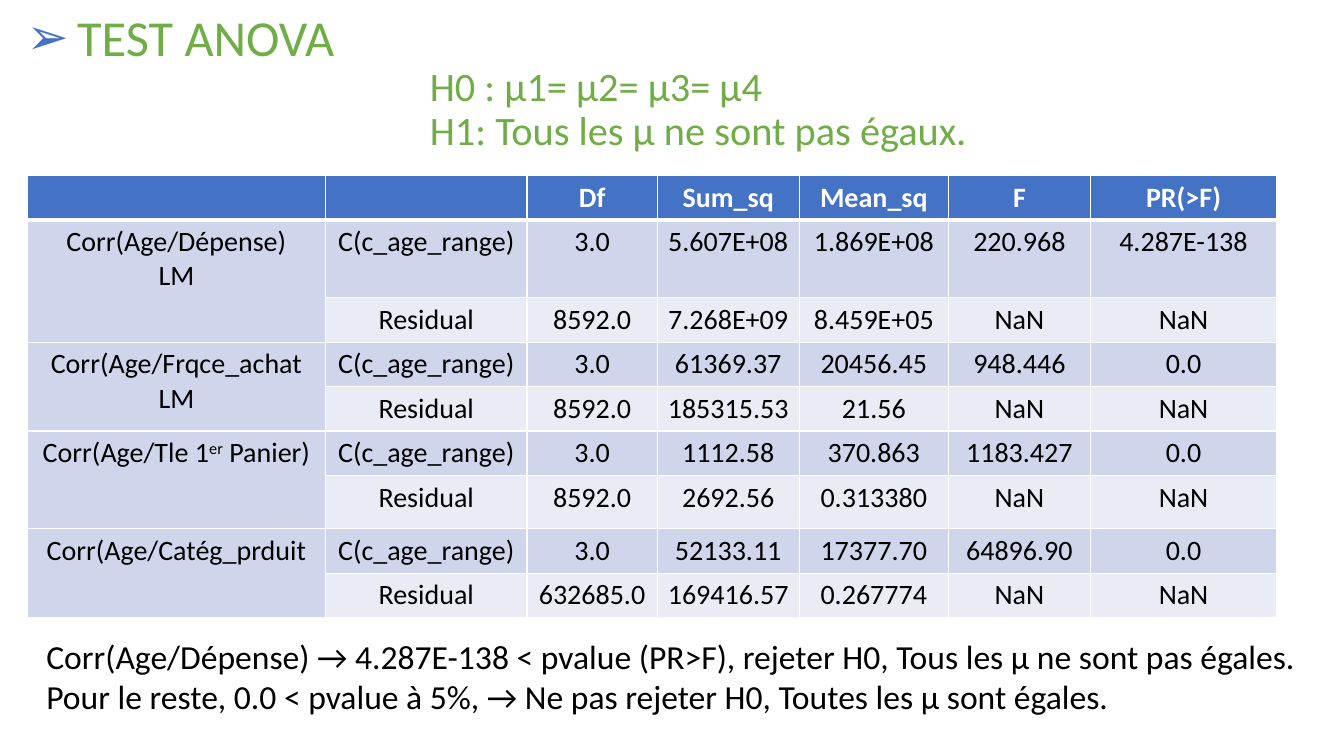
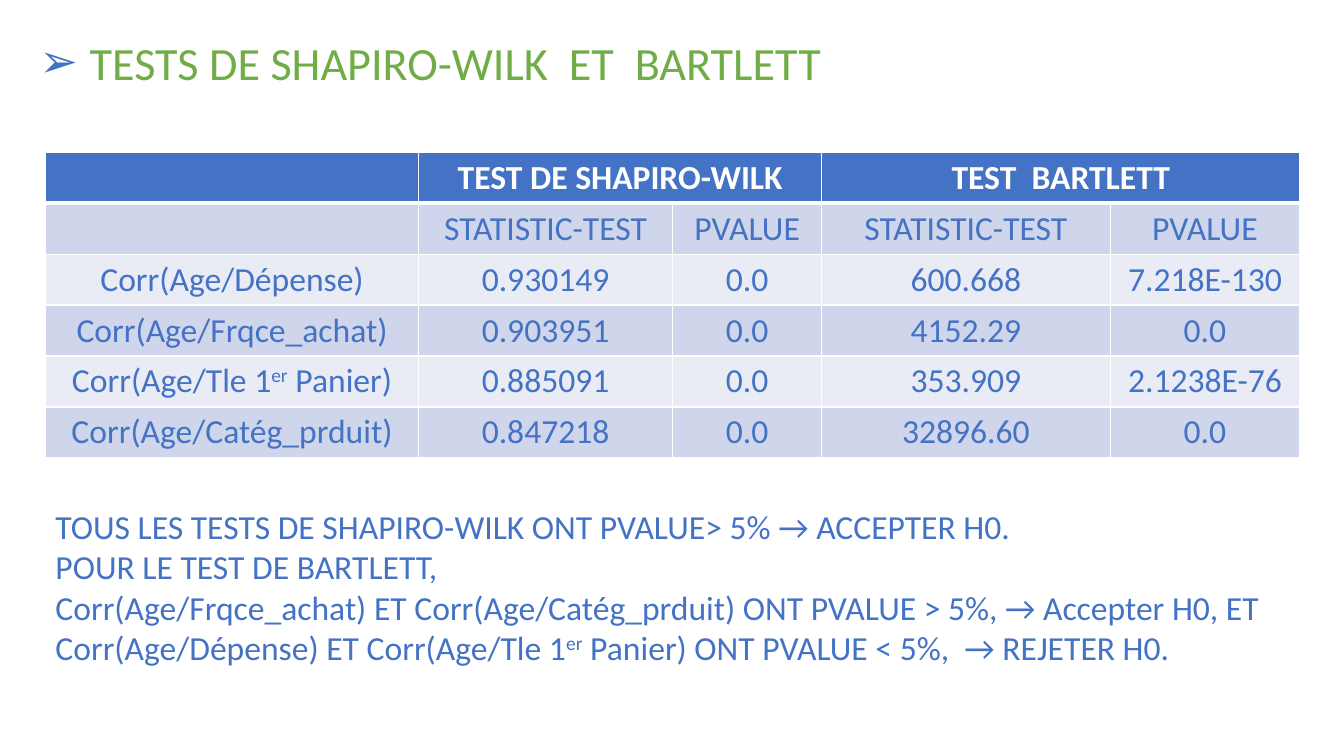
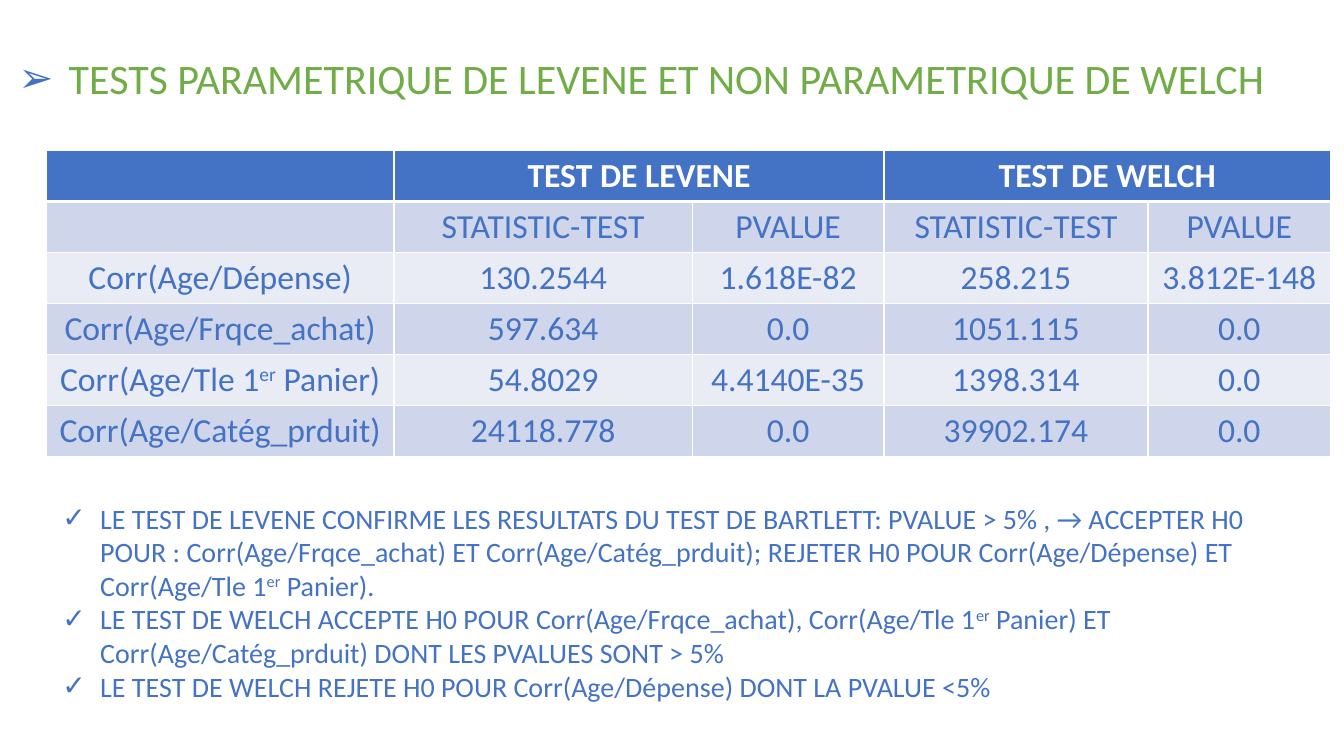
from dataclasses import dataclass

from lxml.etree import SubElement as Sub
from pptx import Presentation as Deck
from pptx.dml.color import RGBColor as Color
from pptx.enum.text import MSO_ANCHOR as Anchor, PP_ALIGN as Align
from pptx.oxml.ns import qn
from pptx.util import Pt


@dataclass(frozen=True)
class Theme:
    font: str = "Calibri"
    blue: str = "4472C4"
    green: str = "70AD47"
    black: str = "000000"
    white: str = "FFFFFF"
    dark: str = "CFD5EA"
    light: str = "E9EBF5"
    head: float = 36
    mid: float = 33
    low: float = 30
    sub: float = 28.8
    body: float = 24
    small: float = 20
    thin: float = 1
    thick: float = 3


def assign(item, values):
    for name, value in values.items():
        setattr(item, name, value)


class Pen:
    def __init__(self, deck, theme):
        self.deck, self.theme, self.slide = deck, theme, None

    def page(self):
        self.slide = self.deck.slides.add_slide(self.deck.slide_layouts[6])

    def label(self, para, text, size, color, bold=False):
        for i, part in enumerate(text.split("^")):
            run = para.add_run()
            run.text = part
            assign(run.font, {"name": self.theme.font, "size": Pt(size), "bold": bold})
            run.font.color.rgb = Color.from_string(color)
            if i % 2:
                run._r.get_or_add_rPr().set("baseline", "30000")

    def indent(self, para, left, hang=0, mark=None):
        props = para._p.get_or_add_pPr()
        props.set("marL", str(Pt(left)))
        props.set("indent", str(Pt(-hang)))
        if mark:
            tint = Sub(props, qn("a:buClr"))
            Sub(tint, qn("a:srgbClr"), val=self.theme.blue)
            Sub(props, qn("a:buFont"), typeface=self.theme.font)
            Sub(props, qn("a:buChar"), char=mark)

    def frame(self, box, lines, size, color, **style):
        frame = self.slide.shapes.add_textbox(*map(Pt, box)).text_frame
        assign(frame, {"word_wrap": True, **style})
        paras = [frame.paragraphs[0]] + [frame.add_paragraph() for _ in lines[1:]]
        for para, line in zip(paras, lines):
            self.label(para, line, size, color)
        return frame

    def title(self, box, text, size, lines=(), left=0):
        frame = self.frame(box, [text], size, self.theme.green,
                           vertical_anchor=Anchor.MIDDLE)
        self.indent(frame.paragraphs[0], 36, 36, "➢")
        for line in lines:
            para = frame.add_paragraph()
            self.label(para, line, self.theme.sub, self.theme.green)
            self.indent(para, left)
        for para in frame.paragraphs:
            para.line_spacing = 0.9

    def notes(self, box, lines, size, color, mark=None):
        for para in self.frame(box, lines, size, color).paragraphs:
            if mark:
                self.indent(para, 27, 27, mark)

    def edges(self, cell, row):
        theme = self.theme
        props = cell._tc.get_or_add_tcPr()
        wide = {"lnT": row == 1, "lnB": row == 0}
        for i, side in enumerate(("lnL", "lnR", "lnT", "lnB")):
            width = theme.thick if wide.get(side) else theme.thin
            line = Sub(props, qn("a:" + side), w=str(Pt(width)))
            Sub(Sub(line, qn("a:solidFill")), qn("a:srgbClr"), val=theme.white)
            props.insert(i, line)

    def table(self, left, top, cols, heights, rows, spans, size, color):
        theme = self.theme
        box = map(Pt, (left, top, sum(cols), sum(heights)))
        table = self.slide.shapes.add_table(len(rows), len(cols), *box).table
        for col, width in zip(table.columns, cols):
            col.width = Pt(width)
        for row, height in zip(table.rows, heights):
            row.height = Pt(height)
        for r, row in enumerate(rows):
            fill = theme.blue if r == 0 else theme.dark if r % 2 else theme.light
            for c, text in enumerate(row):
                cell = table.cell(r, c)
                cell.fill.solid()
                cell.fill.fore_color.rgb = Color.from_string(fill)
                self.edges(cell, r)
                frame = cell.text_frame
                for i, line in enumerate(text.split("\n") if text else ()):
                    para = frame.add_paragraph() if i else frame.paragraphs[0]
                    para.alignment = Align.CENTER
                    self.label(para, line, size, color if r else theme.white, r == 0)
        for r, c, down, across in spans:
            table.cell(r, c).merge(table.cell(r + down - 1, c + across - 1))

    def tests(self, left, top, cols, names, stats):
        labels = ["Corr(Age/Dépense)", "Corr(Age/Frqce_achat)",
                  "Corr(Age/Tle 1^er^ Panier)", "Corr(Age/Catég_prduit)"]
        rows = [["", names[0], "", names[1], ""],
                [""] + ["STATISTIC-TEST", "PVALUE"] * 2]
        rows += [[label] + line.split() for label, line in zip(labels, stats)]
        self.table(left, top, cols, [36.4] * len(rows), rows,
                   [(0, 1, 1, 2), (0, 3, 1, 2)], self.theme.body, self.theme.blue)


def anova(pen):
    theme = pen.theme
    pen.page()
    pen.title((12, 11.5, 900, 96), "TEST ANOVA", theme.head,
              ["H0 : µ1= µ2= µ3= µ4", "H1: Tous les µ ne sont pas égaux."], 288)
    groups = [
        ("Corr(Age/Dépense)\nLM", "3.0 5.607E+08 1.869E+08 220.968 4.287E-138",
         "8592.0 7.268E+09 8.459E+05"),
        ("Corr(Age/Frqce_achat\nLM", "3.0 61369.37 20456.45 948.446 0.0",
         "8592.0 185315.53 21.56"),
        ("Corr(Age/Tle 1^er^ Panier)", "3.0 1112.58 370.863 1183.427 0.0",
         "8592.0 2692.56 0.313380"),
        ("Corr(Age/Catég_prduit", "3.0 52133.11 17377.70 64896.90 0.0",
         "632685.0 169416.57 0.267774"),
    ]
    rows = [["", "", "Df", "Sum_sq", "Mean_sq", "F", "PR(>F)"]]
    for label, ages, rest in groups:
        rows.append([label, "C(c_age_range)"] + ages.split())
        rows.append(["", "Residual"] + rest.split() + ["NaN"] * 2)
    heights = [31.7] * len(rows)
    heights[1], heights[6] = 55.8, 38.2
    pen.table(19.5, 125.3, [213, 144, 93, 101.5, 106.5, 101.5, 133], heights, rows,
              [(r, 0, 2, 1) for r in range(1, len(rows), 2)],
              theme.small, theme.black)
    pen.notes((26, 450.7, 934, 87), [
        "Corr(Age/Dépense) → 4.287E-138 < pvalue (PR>F), rejeter H0, "
        "Tous les µ ne sont pas égales.",
        "Pour le reste, 0.0 < pvalue à 5%, → Ne pas rejeter H0, "
        "Toutes les µ sont égales.",
    ], theme.body, theme.black)


def shapiro(pen):
    theme = pen.theme
    pen.page()
    pen.title((21, 17.3, 929.5, 58.3), "TESTS DE SHAPIRO-WILK  ET  BARTLETT", theme.mid)
    pen.tests(32.5, 108.7, [266.5, 181.5, 106.5, 206, 135.5],
              ["TEST DE SHAPIRO-WILK", "TEST  BARTLETT"],
              ["0.930149 0.0 600.668 7.218E-130", "0.903951 0.0 4152.29 0.0",
               "0.885091 0.0 353.909 2.1238E-76", "0.847218 0.0 32896.60 0.0"])
    pen.notes((32.5, 357.8, 906.5, 145.5), [
        "TOUS LES TESTS DE SHAPIRO-WILK ONT PVALUE> 5% → ACCEPTER H0.",
        "POUR LE TEST DE BARTLETT,",
        "Corr(Age/Frqce_achat) ET Corr(Age/Catég_prduit) ONT PVALUE > 5%, "
        "→ Accepter H0, ET",
        "Corr(Age/Dépense) ET Corr(Age/Tle 1^er^ Panier) ONT PVALUE < 5%,  "
        "→ REJETER H0.",
    ], theme.body, theme.blue)


def levene(pen):
    theme = pen.theme
    pen.page()
    pen.title((6, 28.8, 954, 58.3),
              "TESTS PARAMETRIQUE DE LEVENE ET NON PARAMETRIQUE DE WELCH", theme.low)
    pen.tests(33, 107.5, [248.5, 213, 137, 188.5, 130.5],
              ["TEST DE LEVENE", "TEST DE WELCH"],
              ["130.2544 1.618E-82 258.215 3.812E-148", "597.634 0.0 1051.115 0.0",
               "54.8029 4.4140E-35 1398.314 0.0", "24118.778 0.0 39902.174 0.0"])
    pen.notes((37.5, 354.3, 905, 173), [
        "LE TEST DE LEVENE CONFIRME LES RESULTATS DU TEST DE BARTLETT: "
        "PVALUE > 5% , → ACCEPTER H0 POUR : Corr(Age/Frqce_achat) ET "
        "Corr(Age/Catég_prduit); REJETER H0 POUR Corr(Age/Dépense) ET "
        "Corr(Age/Tle 1^er^ Panier).",
        "LE TEST DE WELCH ACCEPTE H0 POUR Corr(Age/Frqce_achat), "
        "Corr(Age/Tle 1^er^ Panier) ET Corr(Age/Catég_prduit) "
        "DONT LES PVALUES SONT > 5%",
        "LE TEST DE WELCH REJETE H0 POUR Corr(Age/Dépense) DONT LA PVALUE <5%",
    ], theme.small, theme.blue, "✓")


def main():
    deck = Deck()
    assign(deck, {"slide_width": Pt(960), "slide_height": Pt(540)})
    pen = Pen(deck, Theme())
    for build in (anova, shapiro, levene):
        build(pen)
    deck.save("out.pptx")


if __name__ == "__main__":
    main()
